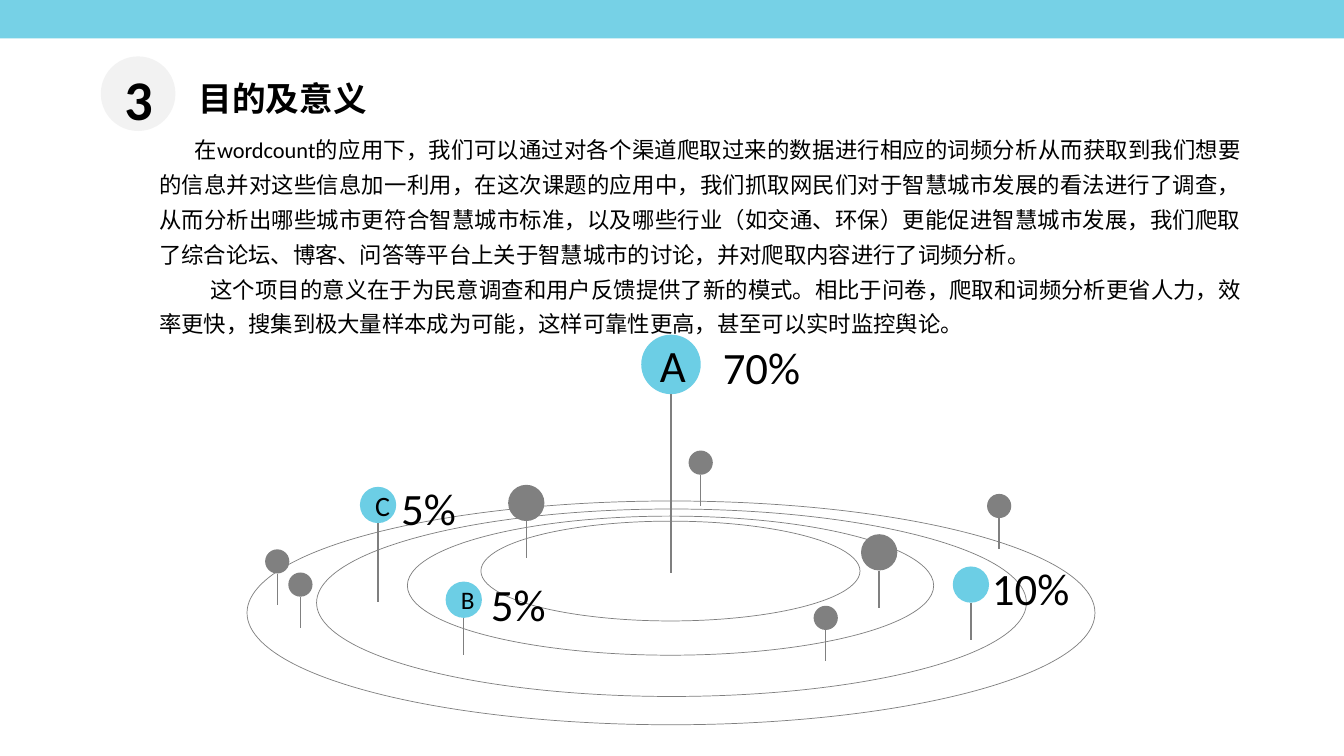
"""Builds the slide on purpose and significance, with rings and pins."""
from lxml import etree
from pptx import Presentation
from pptx.dml.color import RGBColor
from pptx.enum import shapes, text
from pptx.oxml import ns
from pptx.util import Inches, Pt

COLORS = {"blue": "6CCEE5", "gray": "808080", "line": "7F7F7F",
          "pale": "F2F2F2", "black": "000000"}


def rgb(name):
    return RGBColor.from_string(COLORS[name])


def write(tf, *lines, size=16, bold=False, align=text.PP_ALIGN.LEFT,
          spacing=1.0, indents=(), anchor=text.MSO_ANCHOR.TOP, wrap=True):
    tf.word_wrap = wrap
    tf.auto_size = text.MSO_AUTO_SIZE.NONE
    tf.vertical_anchor = anchor
    for i, line in enumerate(lines):
        p = tf.paragraphs[0] if i == 0 else tf.add_paragraph()
        p.alignment = align
        p.line_spacing = spacing
        p.space_before = Pt(0)
        if indents:
            pPr = p._p.get_or_add_pPr()
            pPr.set("marL", "0")
            pPr.set("indent", str(Inches(indents[i])))
        r = p.add_run()
        r.text = line
        r.font.name = "Calibri"
        r.font.size = Pt(size)
        r.font.bold = bold
        r.font.color.rgb = rgb("black")


prs = Presentation()
prs.slide_width, prs.slide_height = Inches(13.33), Inches(7.5)
s = prs.slides.add_slide(prs.slide_layouts[5])

bar = s.shapes.add_shape(shapes.MSO_SHAPE.RECTANGLE, 0, 0, prs.slide_width, Inches(0.38))
badge = s.shapes.add_shape(shapes.MSO_SHAPE.OVAL, Inches(1), Inches(0.56),
                           Inches(0.74), Inches(0.74))
for sp, color in ((bar, "blue"), (badge, "pale")):
    sp.shadow.inherit = False
    sp.fill.solid()
    sp.fill.fore_color.rgb = rgb(color)
    sp.line.fill.background()
tint = bar._element.spPr.find(".//" + ns.qn("a:srgbClr"))
etree.SubElement(tint, ns.qn("a:alpha")).set("val", "93000")

rings = [(4.77, 5.17, 3.76, 0.99), (4.04, 5.12, 5.22, 1.38),
         (3.14, 5.05, 7.04, 1.86), (2.45, 4.97, 8.41, 2.22)]
for ring in rings:
    sp = s.shapes.add_shape(shapes.MSO_SHAPE.OVAL, *map(Inches, ring))
    sp.shadow.inherit = False
    sp.fill.background()
    sp.line.color.rgb = rgb("line")
    sp.line.width = Pt(0.5)

pins = [
    (6.36, 3.32, 0.59, 1.77, "blue", "A", 32),
    (3.57, 4.83, 0.36, 0.78, "blue", "C", 20),
    (9.45, 5.62, 0.36, 0.37, "blue", "", 0),
    (4.42, 5.77, 0.36, 0.37, "blue", "B", 18),
    (8.54, 5.30, 0.36, 0.37, "gray", "", 0),
    (5.04, 4.81, 0.36, 0.37, "gray", "", 0),
    (8.07, 6.01, 0.24, 0.31, "gray", "", 0),
    (6.83, 4.47, 0.24, 0.31, "gray", "", 0),
    (2.63, 5.45, 0.24, 0.31, "gray", "", 0),
    (2.86, 5.68, 0.24, 0.31, "gray", "", 0),
    (9.79, 4.90, 0.24, 0.31, "gray", "", 0),
]
for left, top, size, stem, color, letter, letter_size in pins:
    sp = s.shapes.add_shape(shapes.MSO_SHAPE.OVAL, Inches(left), Inches(top),
                            Inches(size), Inches(size))
    sp.shadow.inherit = False
    sp.fill.solid()
    sp.fill.fore_color.rgb = rgb(color)
    sp.line.fill.background()
    if letter:
        write(sp.text_frame, letter, size=letter_size,
              align=text.PP_ALIGN.CENTER, anchor=text.MSO_ANCHOR.MIDDLE)
    x, y = Inches(left + size / 2), top + size
    line = s.shapes.add_connector(shapes.MSO_CONNECTOR.STRAIGHT,
                                  x, Inches(y), x, Inches(y + stem))
    line.line.color.rgb = rgb("line" if color == "blue" else "gray")
    line.line.width = Pt(1)
    etree.SubElement(line._element.spPr, ns.qn("a:effectLst"))

shares = [("70%", 7.07, 3.32, 0.98), ("10%", 9.74, 5.51, 0.98),
          ("5%", 3.88, 4.72, 0.75), ("5%", 4.77, 5.67, 0.75)]
for share, left, top, width in shares:
    box = s.shapes.add_textbox(Inches(left), Inches(top), Inches(width), Inches(0.64))
    write(box.text_frame, share, size=32, wrap=False)

body = s.shapes.add_textbox(Inches(1.48), Inches(1.22), Inches(10.94), Inches(2.17))
write(body.text_frame,
      "在wordcount的应用下，我们可以通过对各个渠道爬取过来的数据进行相应的词频分析从而获取到"
      "我们想要的信息并对这些信息加一利用，在这次课题的应用中，我们抓取网民们对于智慧城市发展的"
      "看法进行了调查，从而分析出哪些城市更符合智慧城市标准，以及哪些行业（如交通、环保）更能促进"
      "智慧城市发展，我们爬取了综合论坛、博客、问答等平台上关于智慧城市的讨论，并对爬取内容进行了"
      "词频分析。",
      "这个项目的意义在于为民意调查和用户反馈提供了新的模式。相比于问卷，爬取和词频分析更省人力，"
      "效率更快，搜集到极大量样本成为可能，这样可靠性更高，甚至可以实时监控舆论。",
      align=text.PP_ALIGN.JUSTIFY, spacing=1.3, indents=(0.35, 0.51))

number = s.shapes.add_textbox(Inches(0.88), Inches(0.46), Inches(0.99), Inches(0.85))
write(number.text_frame, "3", size=40, bold=True, align=text.PP_ALIGN.CENTER, spacing=1.2)

title = s.shapes.title
title.left, title.top = Inches(1.87), Inches(0.64)
title.width, title.height = Inches(4.97), Inches(0.55)
write(title.text_frame, "目的及意义", size=24, bold=True, spacing=1.2)

prs.save("out.pptx")
